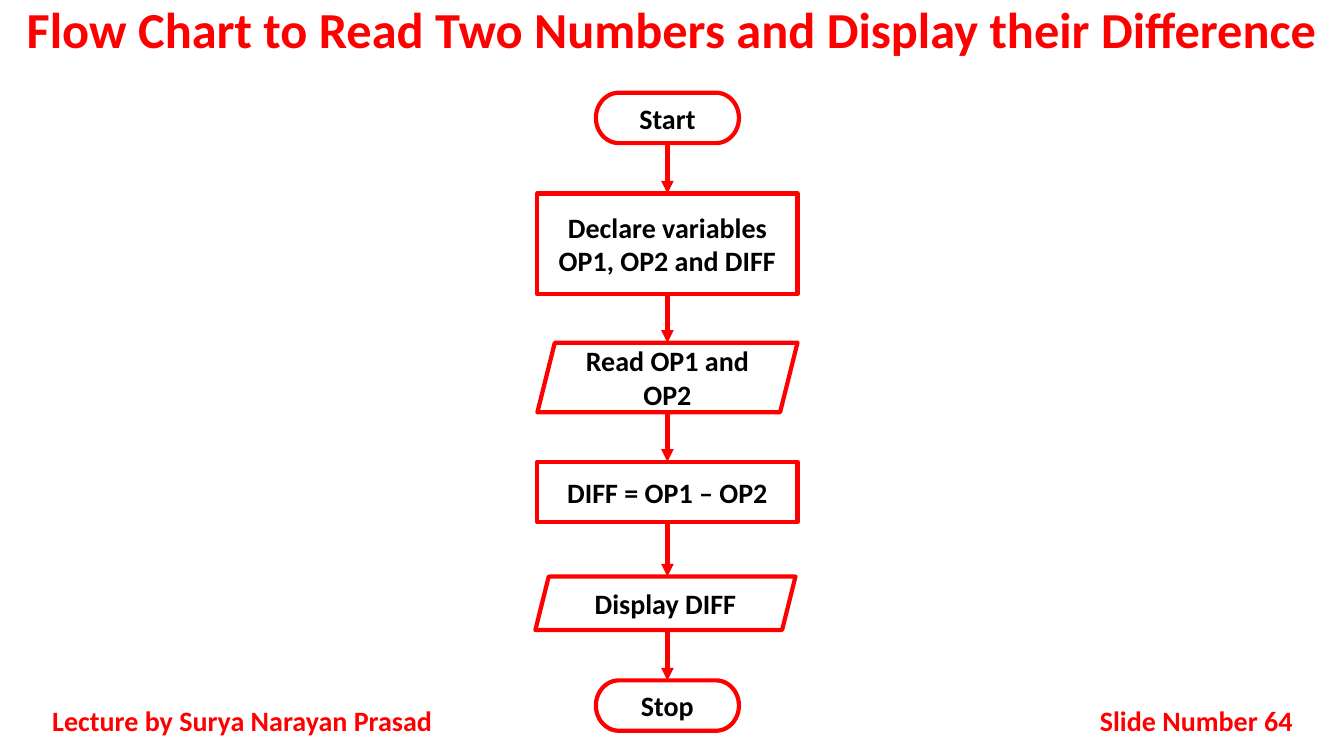
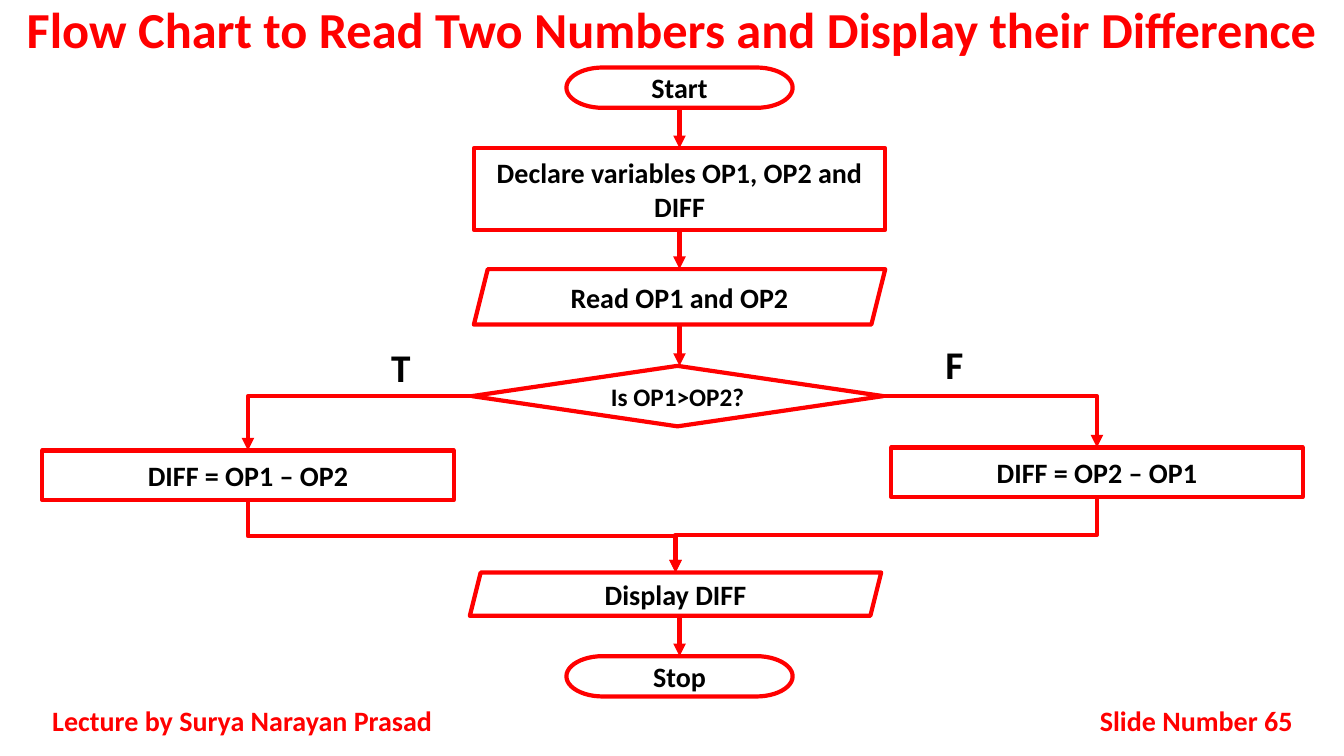
from dataclasses import dataclass

from lxml.etree import SubElement
from pptx import Presentation
from pptx.dml.color import RGBColor
from pptx.enum.shapes import MSO_CONNECTOR, MSO_SHAPE
from pptx.enum.text import MSO_ANCHOR, PP_ALIGN
from pptx.oxml.ns import qn
from pptx.util import Inches, Pt


@dataclass(frozen=True)
class Theme:
    accent: RGBColor = RGBColor(0xFF, 0, 0)
    ink: RGBColor = RGBColor(0, 0, 0)
    font: str = "Calibri"
    title: int = 36
    branch: int = 28
    body: int = 20
    decision: int = 18
    line: int = 3


@dataclass(frozen=True)
class Box:
    left: float
    top: float
    width: float
    height: float

    @property
    def center(self):
        return self.left + self.width / 2

    @property
    def middle(self):
        return self.top + self.height / 2

    @property
    def right(self):
        return self.left + self.width

    @property
    def bottom(self):
        return self.top + self.height

    def inches(self):
        return [Inches(value) for value in (self.left, self.top, self.width, self.height)]


@dataclass(frozen=True)
class Step:
    kind: str
    text: str
    top: float
    height: float
    shift: float = 0


THEME = Theme()
PAGE = Box(0, 0, 13.33, 7.5)
TITLE = "Flow Chart to Read Two Numbers and Display their Difference"
LECTURER = "Lecture by Surya Narayan Prasad"
DECLARE = "Declare variables OP1, OP2 and DIFF"
TERMINATOR_SHARE = 0.55
KINDS = {
    "terminator": MSO_SHAPE.FLOWCHART_TERMINATOR,
    "process": MSO_SHAPE.RECTANGLE,
    "data": MSO_SHAPE.PARALLELOGRAM,
    "decision": MSO_SHAPE.FLOWCHART_DECISION,
}


def apply(target, formats):
    for name, value in formats.items():
        setattr(target, name, value)


def write(shape, text, size, color, alignment=PP_ALIGN.CENTER, anchor=MSO_ANCHOR.MIDDLE):
    frame = shape.text_frame
    apply(frame, {"word_wrap": True, "vertical_anchor": anchor})
    paragraph = frame.paragraphs[0]
    paragraph.alignment = alignment
    run = paragraph.add_run()
    run.text = text
    apply(run.font, {"name": THEME.font, "size": Pt(size), "bold": True})
    run.font.color.rgb = color
    return paragraph


def add_label(slide, box, text, size, color, **placement):
    write(slide.shapes.add_textbox(*box.inches()), text, size, color, **placement)


def style_line(line):
    line.color.rgb = THEME.accent
    line.width = Pt(THEME.line)


def add_node(slide, box, kind, text):
    shape = slide.shapes.add_shape(KINDS[kind], *box.inches())
    shape.shadow.inherit = False
    shape.fill.background()
    style_line(shape.line)
    size = THEME.decision if kind == "decision" else THEME.body
    write(shape, text, size, THEME.ink)
    return box


def add_arrow(slide, start, end, kind=MSO_CONNECTOR.STRAIGHT):
    ends = [Inches(value) for value in (*start, *end)]
    connector = slide.shapes.add_connector(kind, *ends)
    style_line(connector.line)
    properties = connector._element.spPr
    SubElement(properties.find(qn("a:ln")), qn("a:tailEnd"), type="triangle")
    SubElement(properties, qn("a:effectLst"))
    return properties


def add_branch_arrow(slide, start, end):
    properties = add_arrow(slide, start, end, MSO_CONNECTOR.ELBOW)
    properties.find(qn("a:prstGeom")).set("prst", "bentConnector2")


def add_merge_arrow(slide, start, end):
    half_run = (end[1] - start[1]) / 2
    half_rise = abs(end[0] - start[0]) / 2
    center = (start[0] + end[0]) / 2
    middle = (start[1] + end[1]) / 2
    rightward = end[0] > start[0]
    side = half_run if rightward else -half_run
    properties = add_arrow(
        slide,
        (center + side, middle - half_rise),
        (center - side, middle + half_rise),
        MSO_CONNECTOR.ELBOW,
    )
    degrees = 270 if rightward else 90
    properties.find(qn("a:xfrm")).set("rot", str(degrees * 60000))


def add_chain(slide, column, steps):
    nodes = []
    for step in steps:
        share = TERMINATOR_SHARE if step.kind == "terminator" else 1
        width = column.width * share
        left = column.center - width / 2 + step.shift
        box = Box(left, column.top + step.top, width, step.height)
        nodes.append(add_node(slide, box, step.kind, step.text))
    for upper, lower in zip(nodes, nodes[1:]):
        add_arrow(slide, (column.center, upper.bottom), (column.center, lower.top))
    return nodes


def add_footer(slide, box, number):
    for text, left, width, alignment in (
        (LECTURER, box.left, 4.17, PP_ALIGN.JUSTIFY),
        (f"Slide Number {number}", box.right - 2.75, 2.75, PP_ALIGN.RIGHT),
    ):
        area = Box(left, box.top, width, box.height)
        add_label(slide, area, text, THEME.body, THEME.accent, alignment=alignment)


def add_flow_slide(presentation, number):
    slide = presentation.slides.add_slide(presentation.slide_layouts[5])
    title = slide.shapes.title
    title_box = Box(PAGE.left, PAGE.top, PAGE.width, 0.83).inches()
    apply(title, dict(zip(("left", "top", "width", "height"), title_box)))
    paragraph = write(title, TITLE, THEME.title, THEME.accent, anchor=MSO_ANCHOR.TOP)
    paragraph.line_spacing = 0.9
    add_footer(slide, Box(0.42, 6.95, 12.5, 0.4), number)
    return slide


def build_sequence(slide, column):
    add_chain(slide, column, [
        Step("terminator", "Start", 0, 0.5),
        Step("process", DECLARE, 1, 1),
        Step("data", "Read OP1 and OP2", 2.48, 0.69),
        Step("process", "DIFF = OP1 – OP2", 3.66, 0.6),
        Step("data", "Display DIFF", 4.8, 0.53, -0.02),
        Step("terminator", "Stop", 5.83, 0.5),
    ])


def build_decision(slide, region):
    width = 4.08
    column = Box(region.left + 4.28, region.top, width, region.height)
    decision = add_chain(slide, column, [
        Step("terminator", "Start", 0, 0.4),
        Step("process", DECLARE, 0.8, 0.81),
        Step("data", "Read OP1 and OP2", 2, 0.55),
        Step("decision", "Is OP1>OP2?", 2.96, 0.6, -0.02),
    ])[-1]
    display = add_chain(slide, column, [
        Step("data", "Display DIFF", 5.01, 0.43, -0.04),
        Step("terminator", "Stop", 5.84, 0.4),
    ])[0]
    for letter, formula, left, top, exit_side, label_left, label_top in (
        ("T", "DIFF = OP1 – OP2", region.left, 3.8, decision.left, 3.12, 2.69),
        ("F", "DIFF = OP2 – OP1", region.right - width, 3.77, decision.right, 8.61, 2.66),
    ):
        box = Box(left, region.top + top, width, 0.49)
        add_node(slide, box, "process", formula)
        add_branch_arrow(slide, (exit_side, decision.middle), (box.center, box.top))
        add_merge_arrow(slide, (box.center, box.bottom), (display.center, display.top))
        label = Box(region.left + label_left, region.top + label_top, 0.87, 0.57)
        add_label(slide, label, letter, THEME.branch, THEME.ink, anchor=MSO_ANCHOR.TOP)


presentation = Presentation()
apply(presentation, {"slide_width": Inches(PAGE.width), "slide_height": Inches(PAGE.height)})
build_sequence(add_flow_slide(presentation, 64), Box(5.33, 0.92, 2.58, 6.33))
build_decision(add_flow_slide(presentation, 65), Box(0.42, 0.67, 12.5, 6.24))
presentation.save("out.pptx")
